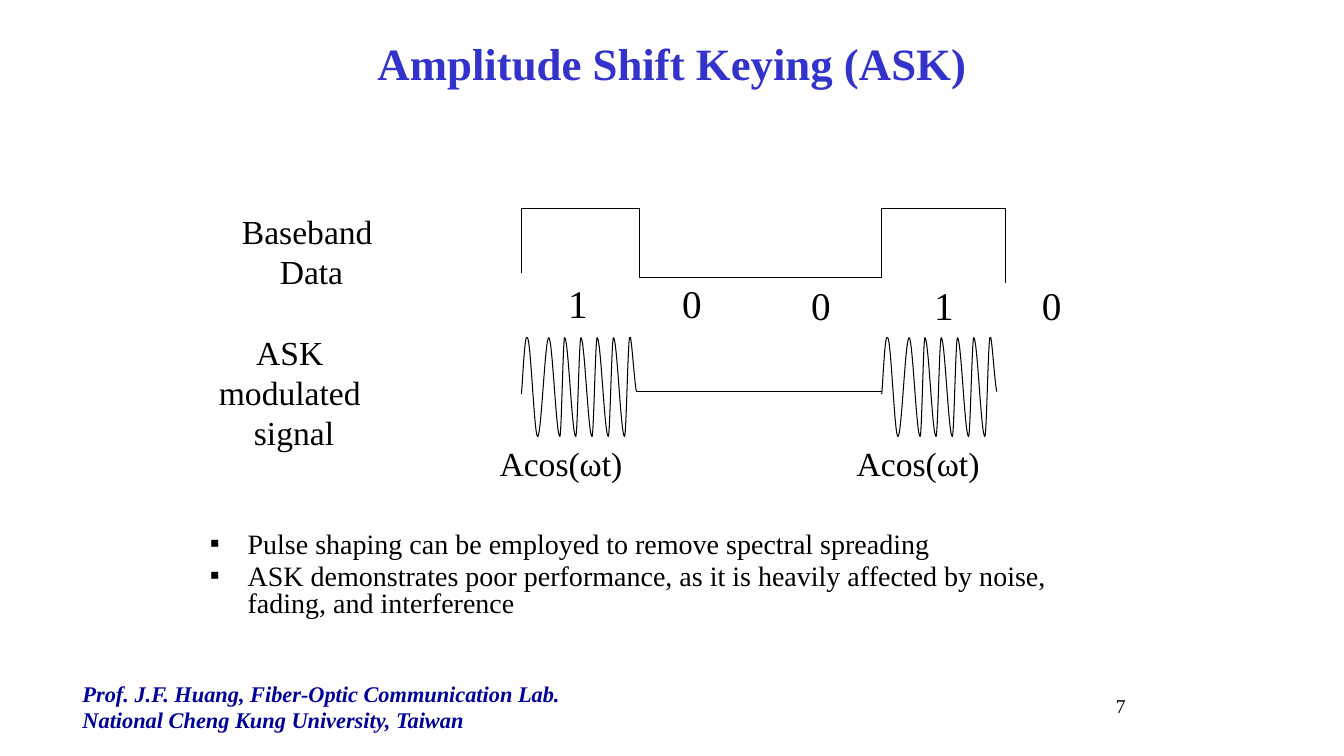
from dataclasses import dataclass

from lxml.etree import SubElement
from pptx import Presentation
from pptx.dml.color import RGBColor as RGB
from pptx.enum.shapes import MSO_CONNECTOR as LINK
from pptx.enum.text import MSO_ANCHOR as ANCHOR, MSO_AUTO_SIZE as FIT, PP_ALIGN as ALIGN
from pptx.oxml.ns import qn
from pptx.util import Cm, Pt


@dataclass(frozen=True)
class Theme:
    font: str = "Times New Roman"
    ink: RGB = RGB(0, 0, 0)
    title: RGB = RGB(0x33, 0x33, 0xCC)
    foot: RGB = RGB(0, 0, 0x99)
    head: int = 32
    bit: int = 28
    label: int = 24
    body: int = 20
    small: int = 16
    page: int = 14
    line: float = 0.75


THEME = Theme()
BAUD_X = (13.14, 16.12, 22.22, 25.33)
HIGH, LOW, MID = 5.26, 7.0, 9.87
CREST, DIP = 8.51, 11.0
BITS = (("1", 14.07, 6.91), ("0", 16.94, 6.91), ("0", 20.19, 6.96),
        ("1", 23.29, 6.96), ("0", 26.01, 6.96))


def add_text(slide, box, paras, size, color=THEME.ink, align=ALIGN.LEFT,
             bold=None, slant=None, wrap=True, tight=False, mark=None):
    frame = slide.shapes.add_textbox(*map(Cm, box)).text_frame
    frame.word_wrap = wrap
    frame.vertical_anchor = ANCHOR.TOP
    frame.auto_size = FIT.NONE if wrap else FIT.SHAPE_TO_FIT_TEXT
    for i, lines in enumerate(paras):
        para = frame.paragraphs[0] if i == 0 else frame.add_paragraph()
        para.alignment = align
        if tight:
            para.line_spacing = 0.8
            para.space_before = Pt(size * 0.2)
        if mark:
            add_mark(para, mark)
        for j, words in enumerate(lines):
            if j:
                para.add_line_break()
            run = para.add_run()
            run.text = words
            font = run.font
            font.name, font.size = THEME.font, Pt(size)
            font.bold, font.italic = bold, slant
            font.color.rgb = color


def add_mark(para, mark):
    props = para._p.get_or_add_pPr()
    props.set("marL", str(Cm(0.95)))
    props.set("indent", str(-Cm(0.95)))
    SubElement(props, qn("a:buFont")).set("typeface", THEME.font)
    SubElement(props, qn("a:buChar")).set("char", mark)


def set_line(shape):
    shape.line.color.rgb = THEME.ink
    shape.line.width = Pt(THEME.line)


def add_trace(slide, points):
    spots = [(Cm(x), Cm(y)) for x, y in points]
    pen = slide.shapes.build_freeform(*spots[0])
    pen.add_line_segments(spots[1:], close=False)
    trace = pen.convert_to_shape()
    trace.shadow.inherit = False
    trace.fill.background()
    set_line(trace)
    return trace


def bend(trace):
    legs = list(trace._element.iter(qn("a:lnTo")))
    for trio in zip(legs[::3], legs[1::3], legs[2::3]):
        curve = trio[0]
        curve.tag = qn("a:cubicBezTo")
        for leg in trio[1:]:
            curve.append(leg[0])
            leg.getparent().remove(leg)


def add_link(slide, left, right, y):
    link = slide.shapes.add_connector(LINK.STRAIGHT, Cm(left), Cm(y), Cm(right), Cm(y))
    set_line(link)
    SubElement(link._element.spPr, qn("a:effectLst"))


def add_burst(slide, left):
    turns = [(0.15, CREST), (0.41, DIP), (0.69, CREST), (0.97, DIP)]
    for i in range(5):
        turns += [(1.09 + i * 0.41, CREST), (1.37 + i * 0.41, DIP)]
    turns.pop()
    points = [(0, 9.93), (0.03, 9.7), (0.08, 8.33), turns[0]]
    for (x1, y1), (x2, y2) in zip(turns, turns[1:]):
        third = (x2 - x1) / 3
        points += [(x1 + third, y1), (x2 - third, y2), (x2, y2)]
    points += [(2.77, 8.31), (2.84, 9.6), (2.9, MID)]
    bend(add_trace(slide, [(left + x, y) for x, y in points]))


def add_pulse(slide):
    a, b, c, d = BAUD_X
    add_trace(slide, [(a, 6.88), (a, HIGH), (b, HIGH), (b, LOW),
                      (c, LOW), (c, HIGH), (d, HIGH), (d, 7.14)])


def main():
    deck = Presentation()
    deck.slide_width, deck.slide_height = Cm(33.87), Cm(19.05)
    slide = deck.slides.add_slide(deck.slide_layouts[6])

    add_text(slide, (1.83, 17.15, 16.51, 1.47),
             [["Prof. J.F. Huang, Fiber-Optic Communication Lab."],
              ["National Cheng Kung University, Taiwan"]],
             THEME.small, THEME.foot, bold=True, slant=True, tight=True)
    add_text(slide, (22.88, 17.35, 5.74, 1.27), [["7"]], THEME.page, align=ALIGN.RIGHT)
    add_text(slide, (1.7, 0.78, 30.48, 3.18), [["Amplitude Shift Keying (ASK)"]],
             THEME.head, THEME.title, ALIGN.CENTER, bold=True)
    add_text(slide, (5.04, 13.3, 23.39, 3),
             [["Pulse shaping can be employed to remove spectral spreading"],
              ["ASK demonstrates poor performance, as it is heavily affected by noise, "
               "fading, and interference"]],
             THEME.body, tight=True, mark="▪")

    add_text(slide, (5.83, 5.18, 4.04, 2.31), [["Baseband ", "Data"]],
             THEME.label, align=ALIGN.CENTER, wrap=False)
    add_text(slide, (5.25, 8.23, 4.32, 3.33), [["ASK ", "modulated "], ["signal"]],
             THEME.label, align=ALIGN.CENTER, wrap=False)

    add_pulse(slide)
    for left in BAUD_X[::2]:
        add_burst(slide, left)
    add_link(slide, BAUD_X[0] + 2.9, BAUD_X[2], MID)
    for bit, x, y in BITS:
        add_text(slide, (x, y, 1.02, 1.45), [[bit]], THEME.bit, wrap=False)
    for x in (12.34, 21.34):
        add_text(slide, (x, 11.04, 3.66, 1.3), [["Acos(ωt)"]], THEME.label, wrap=False)

    deck.save("out.pptx")


if __name__ == "__main__":
    main()
